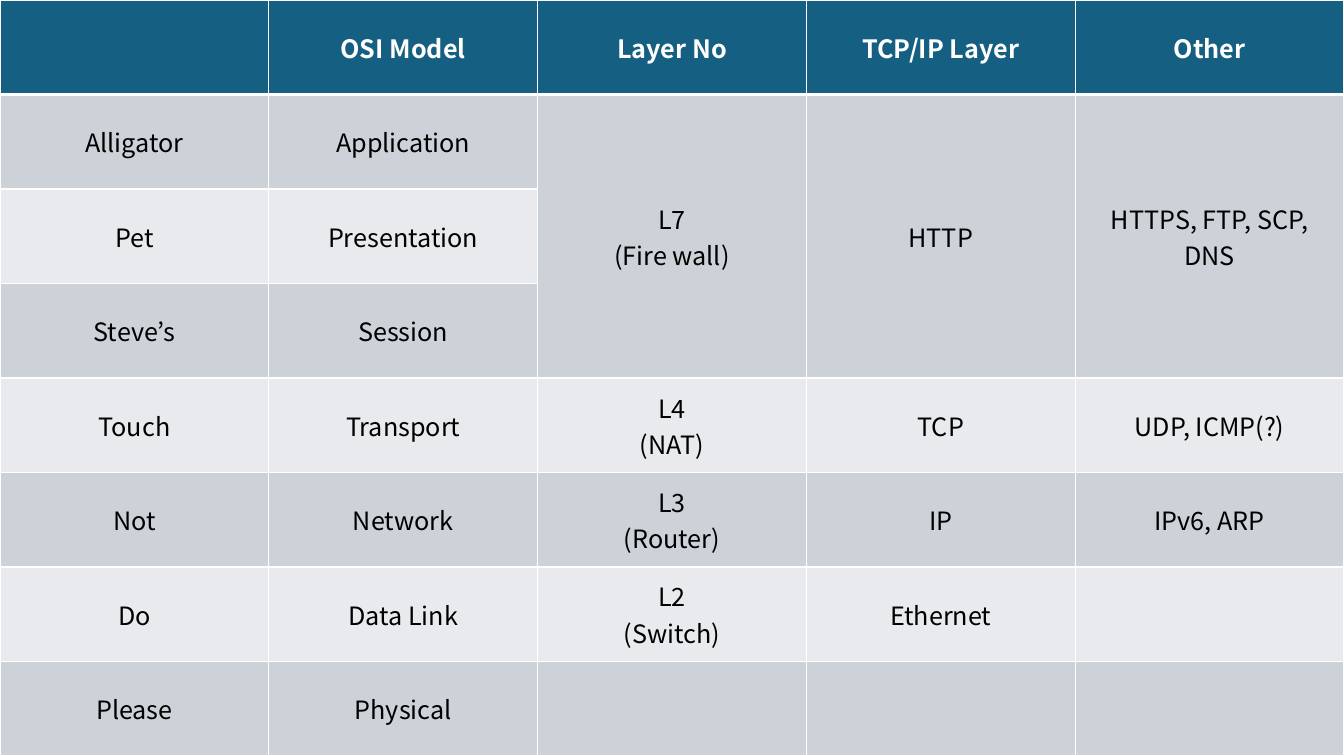
import pptx
import pptx.util
import pptx.dml.color
import pptx.enum.text
import pptx.oxml
import pptx.oxml.ns
from dataclasses import dataclass

HEADINGS = ["", "OSI Model", "Layer No", "TCP/IP Layer", "Other"]
LAYERS = [
    ["Alligator", "Application", "L7\n(Fire wall)", "HTTP", "HTTPS, FTP, SCP, DNS"],
    ["Pet", "Presentation", "", "", ""],
    ["Steve’s", "Session", "", "", ""],
    ["Touch", "Transport", "L4\n(NAT)", "TCP", "UDP, ICMP(?)"],
    ["Not", "Network", "L3\n(Router)", "IP", "IPv6, ARP"],
    ["Do", "Data Link", "L2\n(Switch)", "Ethernet", ""],
    ["Please", "Physical", "", "", ""],
]
MERGED_COLUMNS = (2, 3, 4)
MERGED_ROWS = (1, 3)


@dataclass(frozen=True)
class Theme:
    font: str = "Noto Sans CJK KR"
    size: int = 18
    header_fill: str = "156082"
    header_text: str = "FFFFFF"
    body_text: str = "000000"
    odd_fill: str = "CCD2D8"
    even_fill: str = "E8EAED"
    border: str = "FFFFFF"
    thin: int = 1
    thick: int = 3


THEME = Theme()


def rgb(value):
    return pptx.dml.color.RGBColor.from_string(value)


def write_text(cell, text, color=THEME.body_text, bold=False):
    cell.vertical_anchor = pptx.enum.text.MSO_ANCHOR.MIDDLE
    paragraph = cell.text_frame.paragraphs[0]
    paragraph.text = text
    paragraph.alignment = pptx.enum.text.PP_ALIGN.CENTER
    for run in paragraph.runs:
        run.font.name = THEME.font
        run.font.size = pptx.util.Pt(THEME.size)
        run.font.bold = bold
        run.font.color.rgb = rgb(color)


def set_borders(cell, top, bottom):
    properties = cell._tc.get_or_add_tcPr()
    widths = {"lnL": THEME.thin, "lnR": THEME.thin, "lnT": top, "lnB": bottom}
    for index, (side, width) in enumerate(widths.items()):
        line = pptx.oxml.parse_xml(
            f'<a:{side} {pptx.oxml.ns.nsdecls("a")} w="{pptx.util.Pt(width)}">'
            f'<a:solidFill><a:srgbClr val="{THEME.border}"/></a:solidFill></a:{side}>'
        )
        properties.insert(index, line)


def main():
    presentation = pptx.Presentation()
    presentation.slide_width = pptx.util.Cm(33.87)
    presentation.slide_height = pptx.util.Cm(19.05)
    slide = presentation.slides.add_slide(presentation.slide_layouts[6])

    rows = [HEADINGS] + LAYERS
    table = slide.shapes.add_table(
        len(rows), len(HEADINGS), 0, 0,
        presentation.slide_width, presentation.slide_height,
    ).table
    for column in table.columns:
        column.width = presentation.slide_width // len(HEADINGS)
    for row in table.rows:
        row.height = presentation.slide_height // len(rows)

    for row_index, texts in enumerate(rows):
        header = row_index == 0
        band = THEME.odd_fill if row_index % 2 else THEME.even_fill
        for column_index, text in enumerate(texts):
            cell = table.cell(row_index, column_index)
            cell.fill.solid()
            cell.fill.fore_color.rgb = rgb(THEME.header_fill if header else band)
            set_borders(
                cell,
                top=THEME.thick if row_index == 1 else THEME.thin,
                bottom=THEME.thick if header else THEME.thin,
            )
            write_text(
                cell, text, bold=header,
                color=THEME.header_text if header else THEME.body_text,
            )

    first_row, last_row = MERGED_ROWS
    for column_index in MERGED_COLUMNS:
        table.cell(first_row, column_index).merge(table.cell(last_row, column_index))

    presentation.save("out.pptx")


if __name__ == "__main__":
    main()
